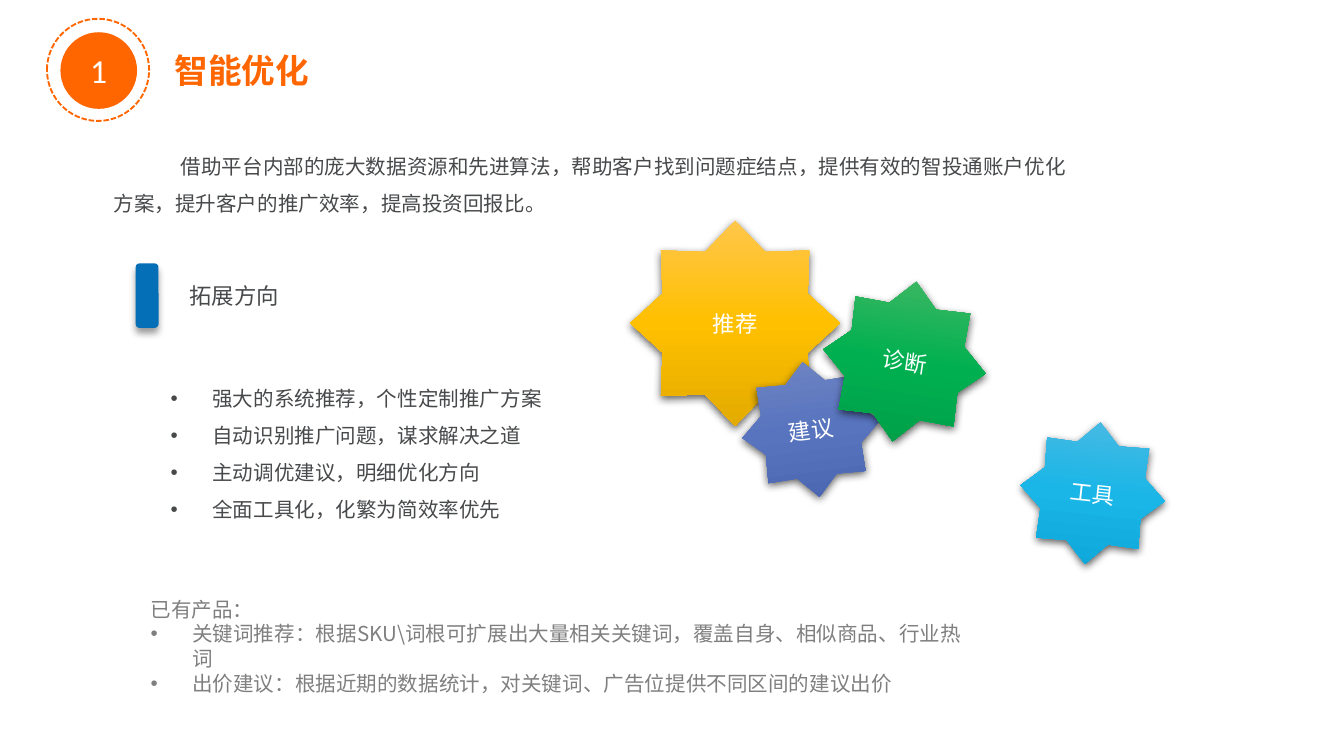
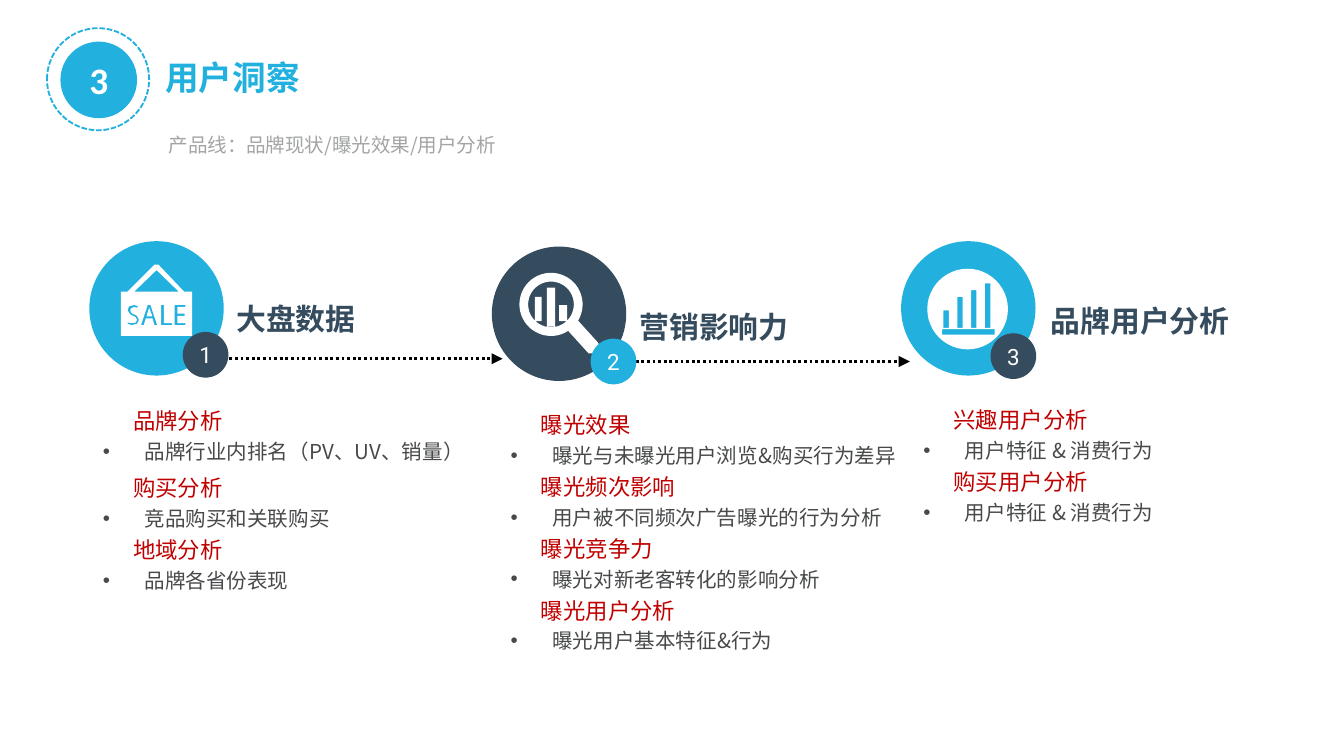
import math

from pptx import Presentation
from pptx.dml.color import RGBColor
from pptx.enum import dml, shapes, text
from pptx.oxml.ns import qn
from pptx.util import Emu, Inches, Pt
from lxml import etree

# A 16:9 slide, 100 columns wide; rows are as high as columns are wide
WIDTH = Inches(10)
HEIGHT = Emu(WIDTH * 9 // 16)
CELL = WIDTH / 100

CJK = "Noto Sans CJK SC"
ORANGE = RGBColor(0xFF, 0x66, 0x00)
CYAN = RGBColor(0x22, 0xB1, 0xDE)
NAVY = RGBColor(0x35, 0x4B, 0x5E)
BLUE = RGBColor(0x04, 0x6F, 0xB6)
RED = RGBColor(0xC0, 0x00, 0x00)
INK = RGBColor(0x47, 0x49, 0x4B)
GREY = RGBColor(0x7F, 0x7F, 0x7F)
PALE = RGBColor(0xA2, 0xA4, 0xA6)
WHITE = RGBColor(0xFF, 0xFF, 0xFF)
BLACK = RGBColor(0x00, 0x00, 0x00)

# Gears: label, position, turn, gradient from top to bottom
GEARS = [
    ("推荐", (46.9, 16.4, 15.6, 15.3), 0, ("FFC64B", "FFC000", "E3AB00")),
    ("建议", (55.2, 26.9, 10.3, 10.1), -7.2, ("7286C2", "5874BF", "4965AF")),
    ("工具", (75.9, 31.4, 10.8, 10.6), 6.3, ("50BAE3", "19B6E7", "0DA6D7")),
    ("诊断", (61.2, 20.9, 12.2, 12), 8.5, ("4BB968", "00B050", "009C47")),
]

# Stages: heading and its place, circle, badge, colours, list place, topics
STAGES = [
    ("大盘数据", (16.6, 21.85, 11, 3.7), (6.65, 17.95), (13.6, 24.7), CYAN, NAVY,
     (6.65, 29.4, 37, 15.2), [
        ("品牌分析", "品牌行业内排名（PV、UV、销量）"),
        ("购买分析", "竞品购买和关联购买"),
        ("地域分析", "品牌各省份表现")]),
    ("营销影响力", (46.6, 22.5, 13.2, 3.7), (36.6, 18.35), (43.95, 25.2), NAVY, CYAN,
     (37, 29.7, 38.4, 19.5), [
        ("曝光效果", "曝光与未曝光用户浏览&购买行为差异"),
        ("曝光频次影响", "用户被不同频次广告曝光的行为分析"),
        ("曝光竞争力", "曝光对新老客转化的影响分析"),
        ("曝光用户分析", "曝光用户基本特征&行为")]),
    ("品牌用户分析", (77.2, 22, 15.5, 3.7), (67.05, 17.95), (73.7, 24.8), CYAN, NAVY,
     (67.7, 29.35, 23.2, 10.3), [
        ("兴趣用户分析", "用户特征 & 消费行为"),
        ("购买用户分析", "用户特征 & 消费行为")]),
]


def grid(*cells):
    return [Emu(round(c * CELL)) for c in cells]


def node(parent, tag, **attributes):
    return etree.SubElement(parent, qn(tag), {k: str(v) for k, v in attributes.items()})


def write(frame, lines, size=11, color=INK, font=CJK, bold=False, align="LEFT",
          anchor="TOP", spacing=1.0, after=0, left=0, first=0, bullet=False,
          wrap=True, inset=(1, 0.5)):
    """Fill a frame; a line is a string or a (string, format changes) pair."""
    base = dict(size=size, color=color, left=left, first=first, bullet=bullet)
    frame.auto_size = text.MSO_AUTO_SIZE.NONE
    frame.word_wrap = wrap
    frame.vertical_anchor = getattr(text.MSO_ANCHOR, anchor)
    frame.margin_left = frame.margin_right = grid(inset[0])[0]
    frame.margin_top = frame.margin_bottom = grid(inset[1])[0]
    for i, line in enumerate(lines):
        content, changes = (line, {}) if isinstance(line, str) else line
        look = {**base, **changes}
        paragraph = frame.paragraphs[0] if i == 0 else frame.add_paragraph()
        paragraph.alignment = getattr(text.PP_ALIGN, align)
        paragraph.line_spacing = spacing
        paragraph.space_before, paragraph.space_after = Pt(0), Pt(after)
        props = paragraph._p.get_or_add_pPr()
        margin, indent = (3.1, -3.1) if look["bullet"] else (look["left"], look["first"])
        for key, value in zip(("marL", "indent"), grid(margin, indent)):
            props.set(key, str(value))
        if look["bullet"]:
            node(props, "a:buFont", typeface="Arial")
            node(props, "a:buChar", char="•")
        else:
            node(props, "a:buNone")
        run = paragraph.add_run()
        run.text = content
        run.font.size, run.font.bold, run.font.name = Pt(look["size"]), bold, font
        run.font.color.rgb = look["color"]
        node(run._r.get_or_add_rPr(), "a:ea", typeface=font)


def place(holder, cells, lines, **look):
    holder.left, holder.top, holder.width, holder.height = grid(*cells)
    write(holder.text_frame, lines, **look)


def paint(shape, fill):
    shape.shadow.inherit = False
    shape.line.fill.background()
    if fill is None:
        shape.fill.background()
    else:
        shape.fill.solid()
        shape.fill.fore_color.rgb = fill


def figure(slide, kind, cells, fill=None, line=None, caption=None, **look):
    shape = slide.shapes.add_shape(getattr(shapes.MSO_SHAPE, kind), *grid(*cells))
    paint(shape, fill)
    if line is not None:
        shape.line.color.rgb = line
        shape.line.width = Pt(1)
        shape.line.dash_style = dml.MSO_LINE.SQUARE_DOT
    if caption:
        write(shape.text_frame, [caption], color=WHITE, align="CENTER",
              anchor="MIDDLE", inset=(0, 0), **look)
    return shape


def drop_shadow(shape, opacity, blur, distance):
    effects = shape._element.spPr.find(qn("a:effectLst"))
    shadow = node(effects, "a:outerShdw", blurRad=Pt(blur), dist=Pt(distance),
                  dir=5400000, rotWithShape=0)
    node(node(shadow, "a:srgbClr", val="000000"), "a:alpha", val=opacity * 1000)


def gear(slide, caption, cells, turn, colors):
    shape = figure(slide, "STAR_8_POINT", cells, caption=caption, size=12)
    shape.rotation = turn
    shape.fill.gradient()
    shape.fill.gradient_angle = 270
    stops = shape._element.spPr.find(qn("a:gradFill")).find(qn("a:gsLst"))
    for stop in list(stops):
        stops.remove(stop)
    for i, color in enumerate(colors):
        node(node(stops, "a:gs", pos=i * 50000), "a:srgbClr", val=color)
    drop_shadow(shape, 63, 4.5, 1.5)


def dotted_arrow(slide, start, end, row):
    arrow = slide.shapes.add_connector(
        shapes.MSO_CONNECTOR.STRAIGHT, *grid(start, row, end, row))
    arrow.line.color.rgb = BLACK
    arrow.line.width = Pt(1.5)
    arrow.line.dash_style = dml.MSO_LINE.ROUND_DOT
    node(arrow.line._get_or_add_ln(), "a:tailEnd", type="triangle")
    node(arrow._element.spPr, "a:effectLst")


def header(slide, number, title, color, top, title_at, **look):
    """Numbered disc in a dashed ring, with the title beside it."""
    figure(slide, "OVAL", (3.5, top, 7.6, 7.6), line=color)
    figure(slide, "OVAL", (4.5, top + 1, 5.7, 5.7), fill=color, caption=number,
           font="Calibri", **look)
    place(slide.shapes.title, (*title_at, 12.1, 4), [title], size=18,
          color=color, bold=True, wrap=False)


# Icons: contours lying inside one another alternate between solid and open
def icon(slide, *contours):
    builder = slide.shapes.build_freeform(*grid(*contours[0][0]), scale=1.0)
    for i, contour in enumerate(contours):
        if i:
            builder.move_to(*grid(*contour[0]))
        builder.add_line_segments([grid(*point) for point in contour[1:]])
    paint(builder.convert_to_shape(), WHITE)


def arc(x, y, radius, start=0, end=360):
    angles = [math.radians(start + (end - start) * i / 48) for i in range(49)]
    return [(x + radius * math.cos(a), y + radius * math.sin(a)) for a in angles]


def block(left, top, right, bottom):
    return [(left, top), (right, top), (right, bottom), (left, bottom)]


def sale_sign(slide):
    board = [(9, 25), (9, 21.7), (9.5, 21.7), (11.5, 19.7), (11.8, 19.7),
             (13.7, 21.7), (14.3, 21.7), (14.3, 25)]
    roof = [(11.65, 20.1), (13.3, 21.7), (10, 21.7)]
    s = [(9.5, 24), (9.8, 24.05), (10.1, 24), (10.2, 23.8), (10.1, 23.6),
         (9.7, 23.4), (9.5, 23.1), (9.6, 22.8), (10, 22.7), (10.3, 22.8),
         (10.2, 22.9), (10, 22.85), (9.75, 22.95), (9.7, 23.1), (9.8, 23.3),
         (10.2, 23.5), (10.35, 23.8), (10.2, 24.1), (9.8, 24.2), (9.5, 24.1)]
    a = [(11.5, 24.2), (11.35, 23.7), (10.85, 23.7), (10.7, 24.2), (10.5, 24.2),
         (11, 22.7), (11.2, 22.7), (11.7, 24.2)]
    a_counter = [(11.1, 22.9), (11.35, 23.55), (10.9, 23.55)]
    l = [(12, 22.7), (12.2, 22.7), (12.2, 24.05), (12.8, 24.05), (12.8, 24.2), (12, 24.2)]
    e = [(13, 22.7), (13.8, 22.7), (13.8, 22.85), (13.2, 22.85), (13.2, 23.35),
         (13.75, 23.35), (13.75, 23.5), (13.2, 23.5), (13.2, 24.05), (13.8, 24.05),
         (13.8, 24.2), (13, 24.2)]
    icon(slide, board, roof, s, a, a_counter, l, e)


def magnifier(slide):
    handle = [(44.5, 25.5), (44.65, 25.8), (44.1, 26.3), (43.8, 26.3)]
    icon(slide, arc(41, 22.65, 2.35, 57, 391) + handle, arc(41, 22.65, 1.7),
         block(39.8, 22.1, 40.3, 23.9), block(40.7, 21.4, 41.3, 24.3),
         block(41.6, 22.7, 42.2, 23.9))


def bar_disc(slide):
    bars = [block(70.2 + 1.03 * i, top, 70.6 + 1.03 * i, 24.4)
            for i, top in enumerate((23.1, 22.1, 21.6, 21.1))]
    icon(slide, arc(72, 23, 3), *bars, block(70.1, 24.5, 74, 24.9))


def optimisation_slide(slide):
    intro, directions, heading, products = list(slide.placeholders)[1:5]
    place(directions, (11.7, 27.3, 46.9, 11.8),
          ["强大的系统推荐，个性定制推广方案", "自动识别推广问题，谋求解决之道",
           "主动调优建议，明细优化方向", "全面工具化，化繁为简效率优先"],
          spacing=1.5, bullet=True)
    for item in GEARS:
        gear(slide, *item)
    place(products, (10.2, 43.9, 63.8, 6.6),
          [("已有产品：", {"bullet": False}),
           "关键词推荐：根据SKU\\词根可扩展出大量相关关键词，覆盖自身、相似商品、行业热词",
           "出价建议：根据近期的数据统计，对关键词、广告位提供不同区间的建议出价"],
          color=GREY, bullet=True)
    place(heading, (13.1, 20.5, 8.8, 3), ["拓展方向"], size=12, wrap=False)
    marker = figure(slide, "ROUNDED_RECTANGLE", (10.1, 19.6, 1.7, 4.8), fill=BLUE)
    drop_shadow(marker, 40, 4, 3)
    place(intro, (7.45, 10.05, 73.8, 6.6),
          ["借助平台内部的庞大数据资源和先进算法，帮助客户找到问题症结点，"
           "提供有效的智投通账户优化方案，提升客户的推广效率，提高投资回报比。"],
          spacing=1.5, first=5)
    header(slide, "1", "智能优化", ORANGE, 1.4, (12, 3.2), size=18)


def insight_slide(slide):
    subtitle, *lists = list(slide.placeholders)[1:5]
    header(slide, "3", "用户洞察", CYAN, 2.1, (11.3, 3.75), size=20, bold=True)
    place(subtitle, (11.55, 8.95, 26.9, 3.2), ["产品线：品牌现状/曝光效果/用户分析"],
          size=10.5, color=PALE, spacing=1.25, after=8)
    for _, _, corner, _, color, *_ in STAGES:
        figure(slide, "OVAL", (*corner, 10, 10), fill=color)
    dotted_arrow(slide, 15.4, 37.4, 26.7)
    dotted_arrow(slide, 47.3, 67.7, 26.9)
    for draw in (sale_sign, magnifier, bar_disc):
        draw(slide)
    for i, (name, name_at, _, badge, _, accent, cells, topics) in enumerate(STAGES):
        figure(slide, "OVAL", (*badge, 3.4, 3.4), fill=accent, caption=str(i + 1),
               size=12, font="Roboto")
        heading = slide.shapes.add_textbox(*grid(*name_at))
        write(heading.text_frame, [name], size=16, color=NAVY, bold=True, wrap=False)
        lines = []
        for topic, detail in topics:
            lines += [(topic, dict(size=12, color=RED, left=2.25)),
                      (detail, dict(bullet=True))]
        place(lists[i], cells, lines, spacing=1.2)
    lists[0].text_frame.paragraphs[2].space_before = Pt(2.7)


def main():
    deck = Presentation()
    deck.slide_width, deck.slide_height = WIDTH, HEIGHT
    comparison = deck.slide_layouts[4]  # a title and four text areas
    for build in (optimisation_slide, insight_slide):
        build(deck.slides.add_slide(comparison))
    deck.save("out.pptx")


if __name__ == "__main__":
    main()
